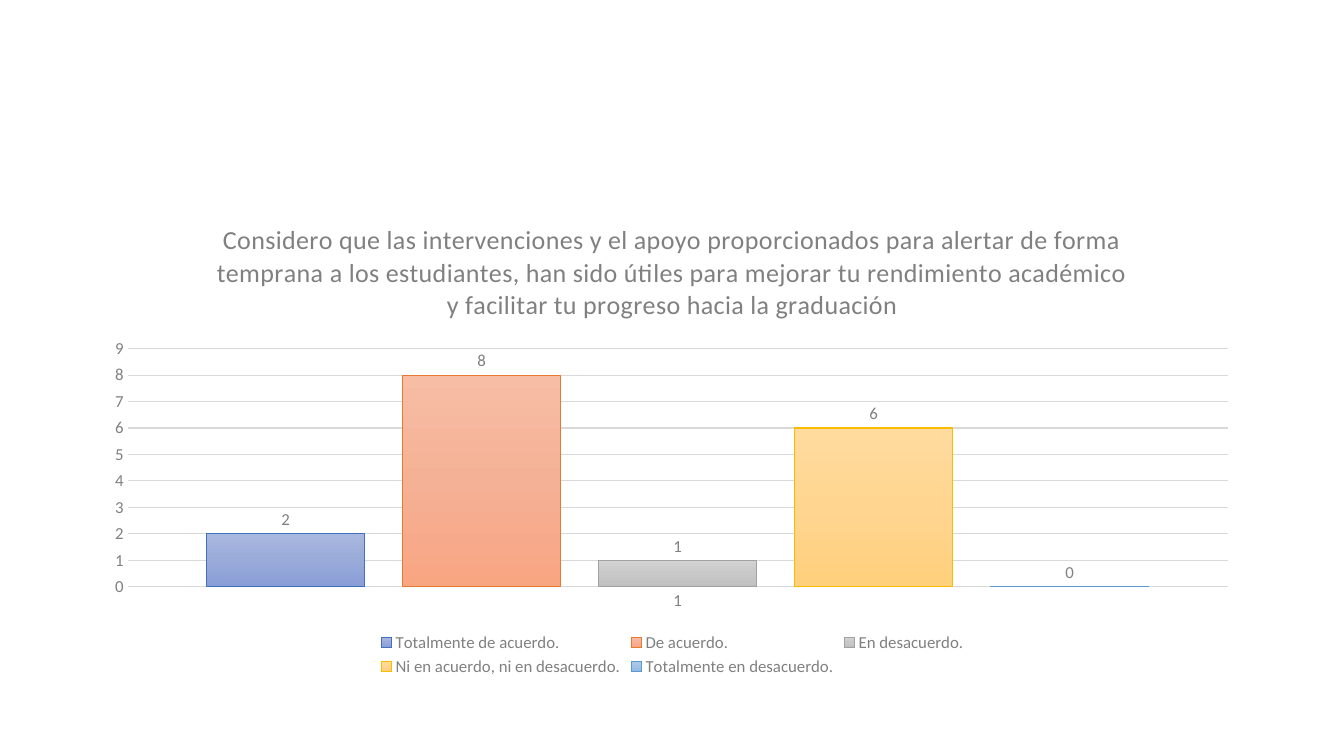
import pptx
import pptx.util
import pptx.dml.color
import pptx.chart.data
import pptx.enum.chart
import pptx.oxml
import pptx.oxml.ns

GREY, RULE = "808080", "D9D9D9"
TITLE = ("Considero que las intervenciones y el apoyo proporcionados para "
         "alertar de forma temprana a los estudiantes, han sido útiles para "
         "mejorar tu rendimiento académico y facilitar tu progreso\u00a0hacia "
         "la graduación")
# name, value, outline, gradient from top to bottom
BARS = [
    ("Totalmente de acuerdo.", 2, "436FC0", ("A8B7DF", "9AABD9", "889ED7")),
    ("De acuerdo.", 8, "E87A30", ("F7BDA5", "F5B196", "F8A582")),
    ("En desacuerdo.", 1, "A1A1A1", ("D2D2D2", "C8C8C8", "C0C0C0")),
    ("Ni en acuerdo, ni en desacuerdo.", 6, "F9BC00",
     ("FFDB9E", "FFD590", "FFD07C")),
    ("Totalmente en desacuerdo.", 0, "5998D0", ("B1CBE9", "A3C1E5", "93B9E4")),
]


def color(code):
    return pptx.dml.color.RGBColor.from_string(code)


def style(font, size=12, code=GREY):
    font.name = "Calibri"
    font.size = pptx.util.Pt(size)
    font.bold = False
    font.color.rgb = color(code)


def write(frame, text, track=0, **form):
    run = frame.paragraphs[0].add_run()
    run.text = text
    style(run.font, **form)
    run.font._element.set("spc", str(track))


def stroke(line, code, width=0.75):
    line.color.rgb = color(code)
    line.width = pptx.util.Pt(width)


def shade(form, codes):
    """Fill with evenly spaced colour stops running downwards."""
    form.fill.gradient()
    form.fill.gradient_angle = 270
    stops = form.fill._xPr.find(".//" + pptx.oxml.ns.qn("a:gsLst"))
    for stop in list(stops):
        stops.remove(stop)
    space = pptx.oxml.ns.nsdecls("a")
    for i, code in enumerate(codes):
        place = 100000 * i // (len(codes) - 1)
        stops.append(pptx.oxml.parse_xml(
            f'<a:gs {space} pos="{place}"><a:srgbClr val="{code}"/></a:gs>'))


def place_plot(chart, left, top, width, height):
    """Set the inner plot area in shares of the chart."""
    area = chart._chartSpace.chart.plotArea
    for old in area.findall(pptx.oxml.ns.qn("c:layout")):
        area.remove(old)
    sizes = zip("xywh", (left, top, width, height))
    parts = "".join(f'<c:{key} val="{size}"/>' for key, size in sizes)
    area.insert(0, pptx.oxml.parse_xml(
        f'<c:layout {pptx.oxml.ns.nsdecls("c")}><c:manualLayout>'
        '<c:layoutTarget val="inner"/><c:xMode val="edge"/>'
        f'<c:yMode val="edge"/>{parts}</c:manualLayout></c:layout>'))


def draw_chart(slide, left, top, width, height):
    enum = pptx.enum.chart
    data = pptx.chart.data.CategoryChartData()
    data.categories = ["1"]
    for name, value, *_ in BARS:
        data.add_series(name, [value])
    chart = slide.shapes.add_chart(
        enum.XL_CHART_TYPE.COLUMN_CLUSTERED, left, top, width, height,
        data).chart
    style(chart.font, size=10, code="000000")

    # Title and legend
    chart.has_title = True
    write(chart.chart_title.text_frame, TITLE, size=18.6, track=20)
    chart.chart_title.include_in_layout = False
    chart.has_legend = True
    chart.legend.position = enum.XL_LEGEND_POSITION.BOTTOM
    chart.legend.include_in_layout = False
    style(chart.legend.font)

    # Axes
    for axis in (chart.category_axis, chart.value_axis):
        axis.major_tick_mark = axis.minor_tick_mark = enum.XL_TICK_MARK.NONE
        style(axis.tick_labels.font)
    stroke(chart.category_axis.format.line, RULE)
    chart.value_axis.format.line.fill.background()
    chart.value_axis.has_major_gridlines = True
    stroke(chart.value_axis.major_gridlines.format.line, RULE)
    chart.value_axis.minimum_scale = 0
    chart.value_axis.maximum_scale = 9
    chart.value_axis.major_unit = 1

    # Columns
    plot = chart.plots[0]
    plot.gap_width, plot.overlap = 100, -24
    plot.vary_by_categories = False
    for row, (_, _, edge, codes) in zip(plot.series, BARS):
        shade(row.format, codes)
        stroke(row.format.line, edge)
        row.invert_if_negative = False
        labels = row.data_labels
        labels.show_value = True
        labels.position = enum.XL_LABEL_POSITION.OUTSIDE_END
        style(labels.font)
    place_plot(chart, 0.03, 0.307, 0.949, 0.498)


def main():
    inch = pptx.util.Inches
    deck = pptx.Presentation()
    deck.slide_width, deck.slide_height = inch(13.33), inch(7.5)
    slide = deck.slides.add_slide(deck.slide_layouts[6])
    draw_chart(slide, inch(0.92), inch(2), inch(11.5), inch(4.75))
    deck.save("out.pptx")


if __name__ == "__main__":
    main()
